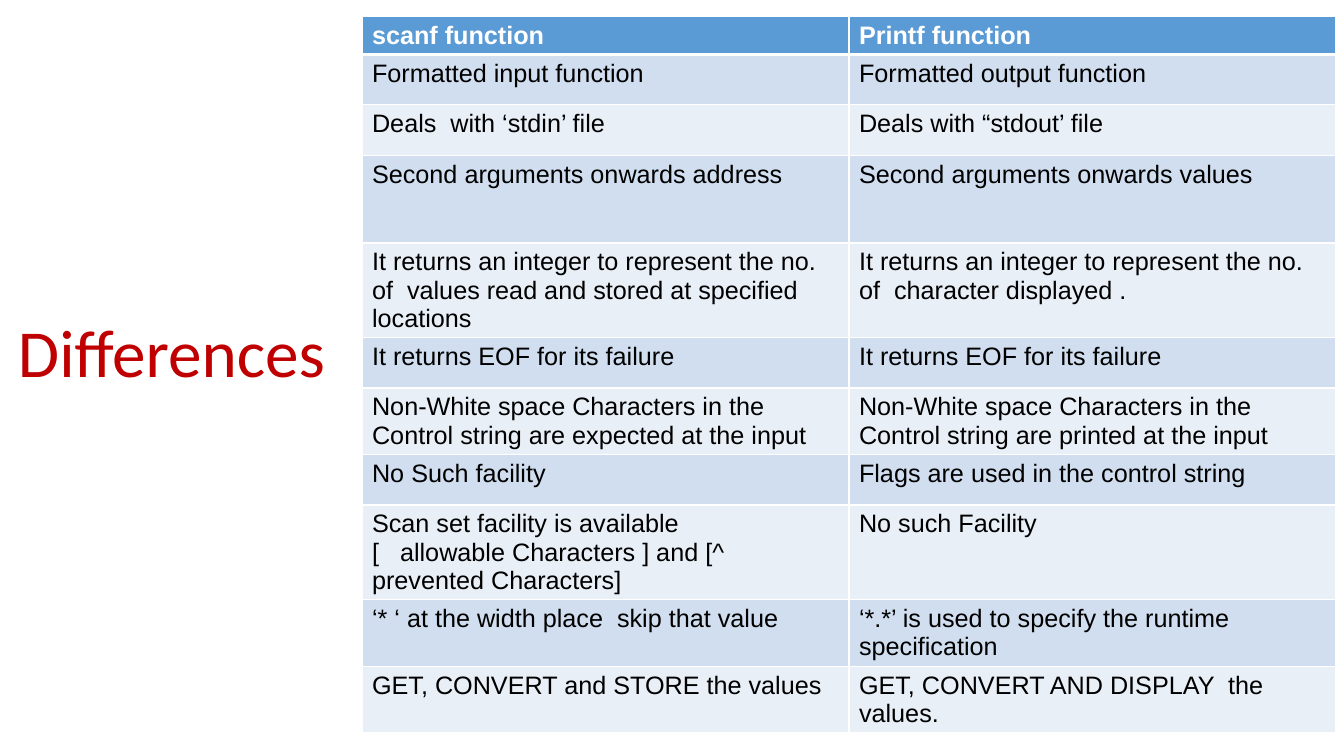
from dataclasses import dataclass

from lxml.etree import SubElement
from pptx import Presentation
from pptx.dml.color import RGBColor
from pptx.enum.text import MSO_AUTO_SIZE
from pptx.oxml.ns import qn
from pptx.slide import Slide
from pptx.table import _Cell as Cell
from pptx.text.text import TextFrame
from pptx.util import Inches, Pt

COLORS = {
    "title": "C00000",
    "header": "5B9BD5",
    "band_dark": "D0DEEF",
    "band_light": "E9EFF7",
    "white": "FFFFFF",
    "black": "000000",
}


@dataclass(frozen=True)
class Row:
    height: float
    scanf: str
    printf: str


ROWS = [
    Row(0.18, "scanf function", "Printf function"),
    Row(0.5, "Formatted input function", "Formatted output function"),
    Row(0.5, "Deals  with ‘stdin’ file", "Deals with “stdout’ file"),
    Row(0.87, "Second arguments onwards address", "Second arguments onwards values"),
    Row(0.87,
        "It returns an integer to represent the no. of  values read and stored at specified locations",
        "It returns an integer to represent the no. of  character displayed ."),
    Row(0.5, "It returns EOF for its failure", "It returns EOF for its failure"),
    Row(0.61,
        "Non-White space Characters in the Control string are expected at the input",
        "Non-White space Characters in the Control string are printed at the input"),
    Row(0.5, "No Such facility", "Flags are used in the control string"),
    Row(0.87,
        "Scan set facility is available\n[   allowable Characters ] and [^ prevented Characters]",
        "No such Facility"),
    Row(0.61,
        "‘* ‘ at the width place  skip that value",
        "‘*.*’ is used to specify the runtime specification"),
    Row(0.5, "GET, CONVERT and STORE the values", "GET, CONVERT AND DISPLAY  the values."),
]
COLUMN_WIDTH = 4.83


def rgb(name: str) -> RGBColor:
    return RGBColor.from_string(COLORS[name])


def format_runs(tf: TextFrame, font: str, size: int, color: str, bold: bool = False) -> None:
    for p in tf.paragraphs:
        for r in p.runs:
            r.font.name = font
            r.font.size = Pt(size)
            r.font.bold = bold
            r.font.color.rgb = rgb(color)


def set_borders(cell: Cell, top: int, bottom: int) -> None:
    tc_pr = cell._tc.get_or_add_tcPr()
    for side, width in (("L", 1), ("R", 1), ("T", top), ("B", bottom)):
        ln = SubElement(tc_pr, qn(f"a:ln{side}"), w=str(Pt(width)))
        fill = SubElement(ln, qn("a:solidFill"))
        SubElement(fill, qn("a:srgbClr"), val=COLORS["white"])


def add_title(s: Slide) -> None:
    tf = s.shapes.add_textbox(Inches(0.08), Inches(3.03), Inches(3.37), Inches(0.91)).text_frame
    tf.word_wrap = True
    tf.auto_size = MSO_AUTO_SIZE.SHAPE_TO_FIT_TEXT
    tf.text = "Differences"
    format_runs(tf, "Calibri", 48, "title")


def add_comparison(s: Slide) -> None:
    table = s.shapes.add_table(
        len(ROWS), 2, Inches(3.59), Inches(0.16),
        Inches(2 * COLUMN_WIDTH), Inches(sum(row.height for row in ROWS)),
    ).table
    for column in table.columns:
        column.width = Inches(COLUMN_WIDTH)
    for i, row in enumerate(ROWS):
        table.rows[i].height = Inches(row.height)
        is_header = i == 0
        band = "header" if is_header else "band_dark" if i % 2 else "band_light"
        for j, text in enumerate((row.scanf, row.printf)):
            cell = table.cell(i, j)
            cell.text_frame.text = text
            format_runs(cell.text_frame, "Arial", 18, "white" if is_header else "black", is_header)
            # The rule under the header is thicker than the others
            set_borders(cell, top=3 if i == 1 else 1, bottom=3 if is_header else 1)
            cell.fill.solid()
            cell.fill.fore_color.rgb = rgb(band)


def main() -> None:
    prs = Presentation()
    prs.slide_width, prs.slide_height = Inches(13.33), Inches(7.5)
    s = prs.slides.add_slide(prs.slide_layouts[6])
    # Comparison table
    add_comparison(s)
    # Title beside the table
    add_title(s)
    prs.save("out.pptx")


if __name__ == "__main__":
    main()
